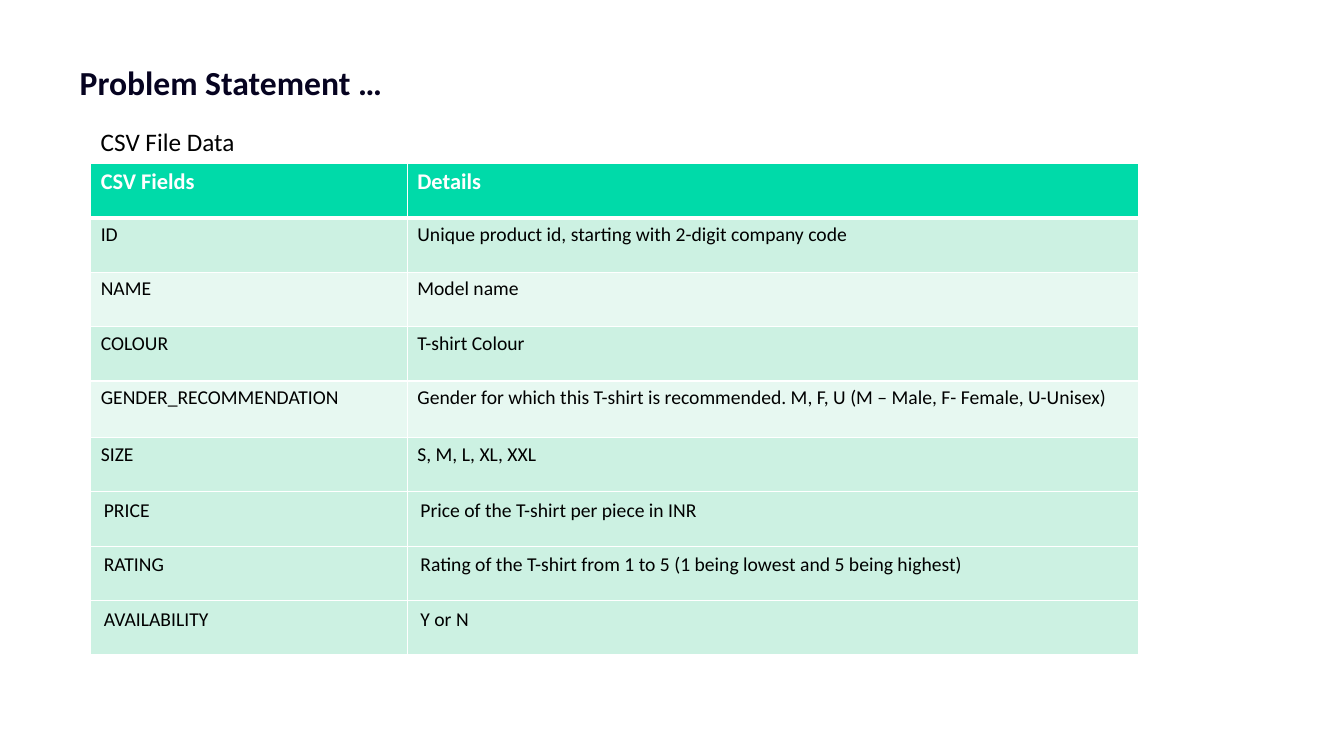
from lxml import etree
from pptx import Presentation
from pptx.dml.color import RGBColor
from pptx.enum import text
from pptx.oxml import ns
from pptx.util import Inches, Pt

FONT = "Calibri"
WHITE, BLACK, NAVY = "FFFFFF", "000000", "060320"
GREEN, MINT, PALE_MINT = "00DAA9", "CCF1E2", "E7F8F1"

HEADER = ("CSV Fields", "Details")
FIELDS = [
    ("ID", "Unique product id, starting with 2-digit company code"),
    ("NAME", "Model name"),
    ("COLOUR", "T-shirt Colour"),
    ("GENDER_RECOMMENDATION",
     "Gender for which this T-shirt is recommended. M, F, U (M – Male, F- Female, U-Unisex)"),
    ("SIZE", "S, M, L, XL, XXL"),
    ("PRICE", "Price of the T-shirt per piece in INR"),
    ("RATING", "Rating of the T-shirt from 1 to 5 (1 being lowest and 5 being highest)"),
    ("AVAILABILITY", "Y or N"),
]
PALE_ROWS = (2, 4)
FIRST_INDENTED_ROW = 6
COLUMN_WIDTHS = (3.14, 7.25)
ROW_HEIGHT = 0.54
TALL_ROW, TALL_HEIGHT = 4, 0.56


def colour(value):
    return RGBColor.from_string(value)


def add_span(para, words, size, ink, bold=False):
    para.alignment = text.PP_ALIGN.LEFT
    span = para.add_run()
    span.text = words
    span.font.name = FONT
    span.font.size = Pt(size)
    span.font.bold = bold
    span.font.color.rgb = colour(ink)


def set_margins(target, left, top, right, bottom):
    target.margin_left, target.margin_top = Inches(left), Inches(top)
    target.margin_right, target.margin_bottom = Inches(right), Inches(bottom)


def add_title(page, words):
    title = page.shapes.title
    title.left, title.top = Inches(0.69), Inches(0.53)
    title.width, title.height = Inches(7.87), Inches(0.53)
    frame = title.text_frame
    frame.word_wrap = True
    frame.auto_size = text.MSO_AUTO_SIZE.NONE
    frame.vertical_anchor = text.MSO_ANCHOR.TOP
    set_margins(frame, 0.1, 0.08, 0.1, 0.05)
    add_span(frame.paragraphs[0], words, 24, NAVY, bold=True)


def add_caption(page, words):
    box = page.shapes.add_textbox(Inches(0.9), Inches(1.2), Inches(3.95), Inches(0.4))
    box.text_frame.word_wrap = True
    add_span(box.text_frame.paragraphs[0], words, 18, BLACK)


def set_borders(cell, top=1, bottom=1):
    """Draw white borders; call before filling, as lines precede the fill in XML."""
    properties = cell._tc.get_or_add_tcPr()
    for side, width in (("L", 1), ("R", 1), ("T", top), ("B", bottom)):
        line = etree.SubElement(properties, ns.qn(f"a:ln{side}"), w=str(Pt(width)))
        fill = etree.SubElement(line, ns.qn("a:solidFill"))
        etree.SubElement(fill, ns.qn("a:srgbClr"), val=WHITE)


def format_cell(cell, words, row):
    is_header = row == 0
    set_borders(cell, top=3 if row == 1 else 1, bottom=3 if is_header else 1)
    cell.fill.solid()
    shade = GREEN if is_header else PALE_MINT if row in PALE_ROWS else MINT
    cell.fill.fore_color.rgb = colour(shade)
    cell.vertical_anchor = text.MSO_ANCHOR.TOP
    if row >= FIRST_INDENTED_ROW:
        set_margins(cell, 0.13, 0.07, 0.13, 0.07)
    add_span(cell.text_frame.paragraphs[0], words, 16 if is_header else 14,
             WHITE if is_header else BLACK, bold=is_header)


def add_field_table(page):
    rows = [HEADER] + FIELDS
    table = page.shapes.add_table(
        len(rows), len(HEADER), Inches(0.9), Inches(1.62),
        Inches(sum(COLUMN_WIDTHS)), Inches(ROW_HEIGHT * len(rows))).table
    for column, width in zip(table.columns, COLUMN_WIDTHS):
        column.width = Inches(width)
    for row, entries in enumerate(rows):
        table.rows[row].height = Inches(TALL_HEIGHT if row == TALL_ROW else ROW_HEIGHT)
        for column, words in enumerate(entries):
            format_cell(table.cell(row, column), words, row)


def main():
    deck = Presentation()
    deck.slide_width, deck.slide_height = Inches(13.33), Inches(7.5)
    page = deck.slides.add_slide(deck.slide_layouts[5])
    add_title(page, "Problem Statement …")
    add_field_table(page)
    add_caption(page, "CSV File Data")
    deck.save("out.pptx")


if __name__ == "__main__":
    main()
